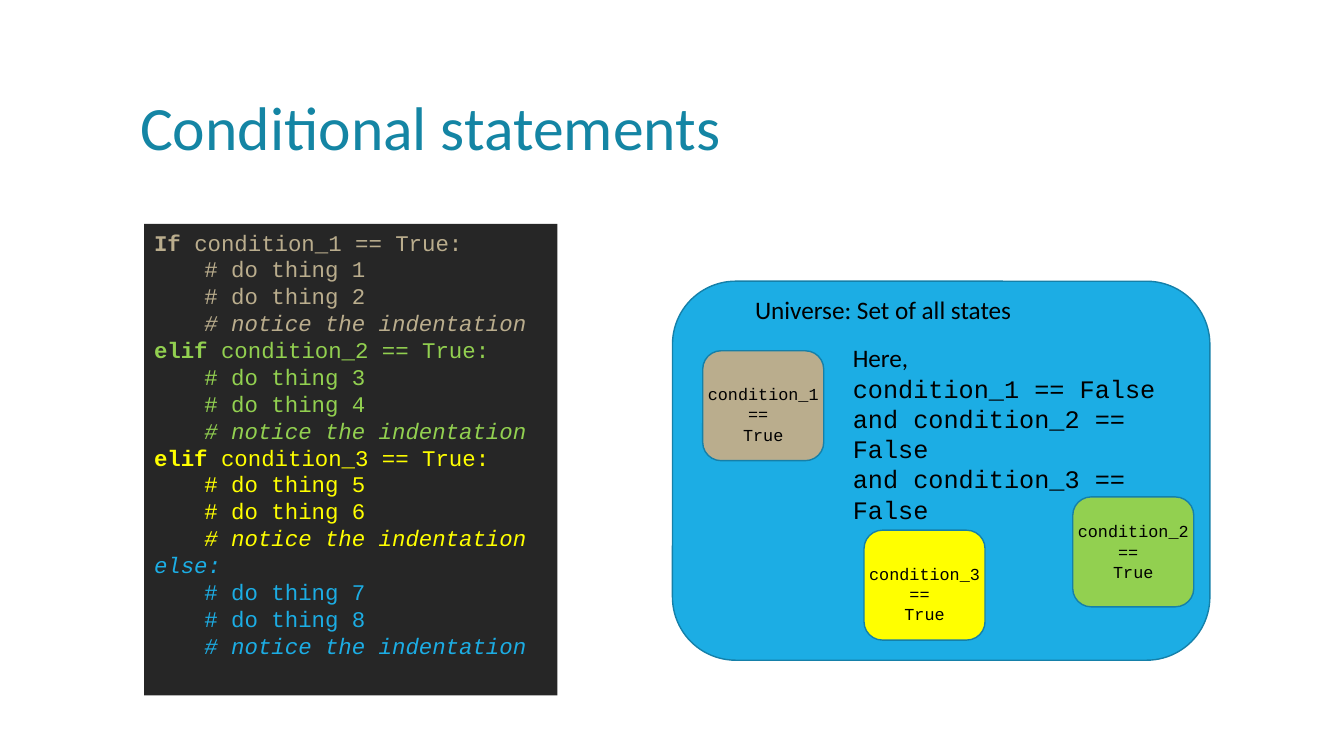
"""Build the slide on conditional statements."""
import pptx
import pptx.dml.color
import pptx.enum.shapes
import pptx.enum.text
import pptx.util

TITLE = "Conditional statements"
NOTICE = "# notice the indentation"
BRANCHES = [
    ("If", " condition_1 == True:", "tan", (1, 2)),
    ("elif", " condition_2 == True:", "green", (3, 4)),
    ("elif", " condition_3 == True:", "yellow", (5, 6)),
    ("else:", "", "blue", (7, 8)),
]
UNIVERSE = "Universe: Set of all states"
HERE = "Here,"
ELSEWHERE = [
    "condition_1 == False",
    "and condition_2 == False",
    "and condition_3 == False",
]
STATES = [
    ("condition_1 ", "tan", 6.97, 3.48, 0.28),
    ("condition_2 ", "green", 10.64, 4.93, 0.19),
    ("condition_3 ", "yellow", 8.57, 5.26, 0.28),
]
STATE_SIZE = (1.2, 1.09)
LABEL_SIZE = (1.32, 0.71)

THEME = {
    "tan": "BAAD8D", "green": "92D050", "yellow": "FFFF00", "blue": "1CADE4",
    "title": "1485A4", "outline": "1580A9", "panel": "262626", "ink": "000000",
    "sans": "Calibri", "mono": "Courier New",
    "title_size": 44, "body_size": 18, "code_size": 16, "label_size": 12,
}
ALIGN = pptx.enum.text.PP_ALIGN
ANCHOR = pptx.enum.text.MSO_ANCHOR
SHAPE = pptx.enum.shapes.MSO_SHAPE


def color(name):
    return pptx.dml.color.RGBColor.from_string(THEME[name])


def inches(*lengths):
    return [pptx.util.Inches(length) for length in lengths]


def add_span(para, text, face, size, ink, **style):
    span = para.add_run()
    span.text = text
    span.font.color.rgb = color(ink)
    style |= {"name": THEME[face], "size": pptx.util.Pt(THEME[size])}
    for key, value in style.items():
        setattr(span.font, key, value)


def next_para(frame, first):
    return frame.paragraphs[0] if first else frame.add_paragraph()


def set_frame(frame, anchor=ANCHOR.TOP):
    values = {
        "word_wrap": True,
        "auto_size": pptx.enum.text.MSO_AUTO_SIZE.NONE,
        "vertical_anchor": anchor,
    }
    for key, value in values.items():
        setattr(frame, key, value)
    return frame


def add_panel(page, kind, at, fill, outline=None):
    panel = page.shapes.add_shape(kind, *inches(*at))
    panel.shadow.inherit = False
    panel.fill.solid()
    panel.fill.fore_color.rgb = color(fill)
    if outline:
        panel.line.color.rgb = color(outline)
        panel.line.width = pptx.util.Pt(1)
    else:
        panel.line.fill.background()
    return panel


def add_text(page, at, lines, size, align=ALIGN.LEFT):
    frame = set_frame(page.shapes.add_textbox(*inches(*at)).text_frame)
    for index, (text, face) in enumerate(lines):
        para = next_para(frame, index == 0)
        para.alignment = align
        add_span(para, text, face, size, "ink")


def add_title(page):
    title = page.shapes.title
    title.left, title.top, title.width, title.height = inches(1.29, 0.46, 10.71, 1.67)
    para = set_frame(title.text_frame, ANCHOR.MIDDLE).paragraphs[0]
    para.alignment = ALIGN.LEFT
    para.line_spacing = 0.9
    add_span(para, TITLE, "sans", "title_size", "title")


def add_code(page):
    panel = add_panel(page, SHAPE.RECTANGLE, (1.43, 2.22, 4.1, 4.68), "panel")
    frame = set_frame(panel.text_frame)
    for index, (keyword, test, ink, things) in enumerate(BRANCHES):
        head = next_para(frame, index == 0)
        head.alignment = ALIGN.LEFT
        add_span(head, keyword, "mono", "code_size", ink, bold=bool(test), italic=not test)
        if test:
            add_span(head, test, "mono", "code_size", ink)
        for text in [f"# do thing {thing}" for thing in things] + [NOTICE]:
            para = frame.add_paragraph()
            para.alignment = ALIGN.LEFT
            para.level = 1
            indent = para._p.get_or_add_pPr()
            indent.set("marL", str(pptx.util.Inches(0.5)))
            indent.set("indent", "0")
            add_span(para, text, "mono", "code_size", ink, italic=text == NOTICE)


def add_universe(page):
    add_panel(page, SHAPE.ROUNDED_RECTANGLE, (6.67, 2.79, 5.33, 3.76), "blue", "outline")
    add_text(page, (7.39, 2.87, 3.16, 0.71), [(UNIVERSE, "sans")], "body_size")
    for name, fill, left, top, drop in STATES:
        add_panel(page, SHAPE.ROUNDED_RECTANGLE, (left, top, *STATE_SIZE), fill, "outline")
        label_left = left - (LABEL_SIZE[0] - STATE_SIZE[0]) / 2
        lines = [(text, "mono") for text in (name, "== ", "True")]
        add_text(page, (label_left, top + drop, *LABEL_SIZE), lines, "label_size", ALIGN.CENTER)
    lines = [(HERE, "sans")] + [(text, "mono") for text in ELSEWHERE]
    add_text(page, (8.36, 3.35, 3.66, 1.31), lines, "body_size")


def main():
    deck = pptx.Presentation()
    deck.slide_width, deck.slide_height = inches(13.33, 7.5)
    page = deck.slides.add_slide(deck.slide_layouts[5])
    add_title(page)
    add_universe(page)
    add_code(page)
    deck.save("out.pptx")


if __name__ == "__main__":
    main()
